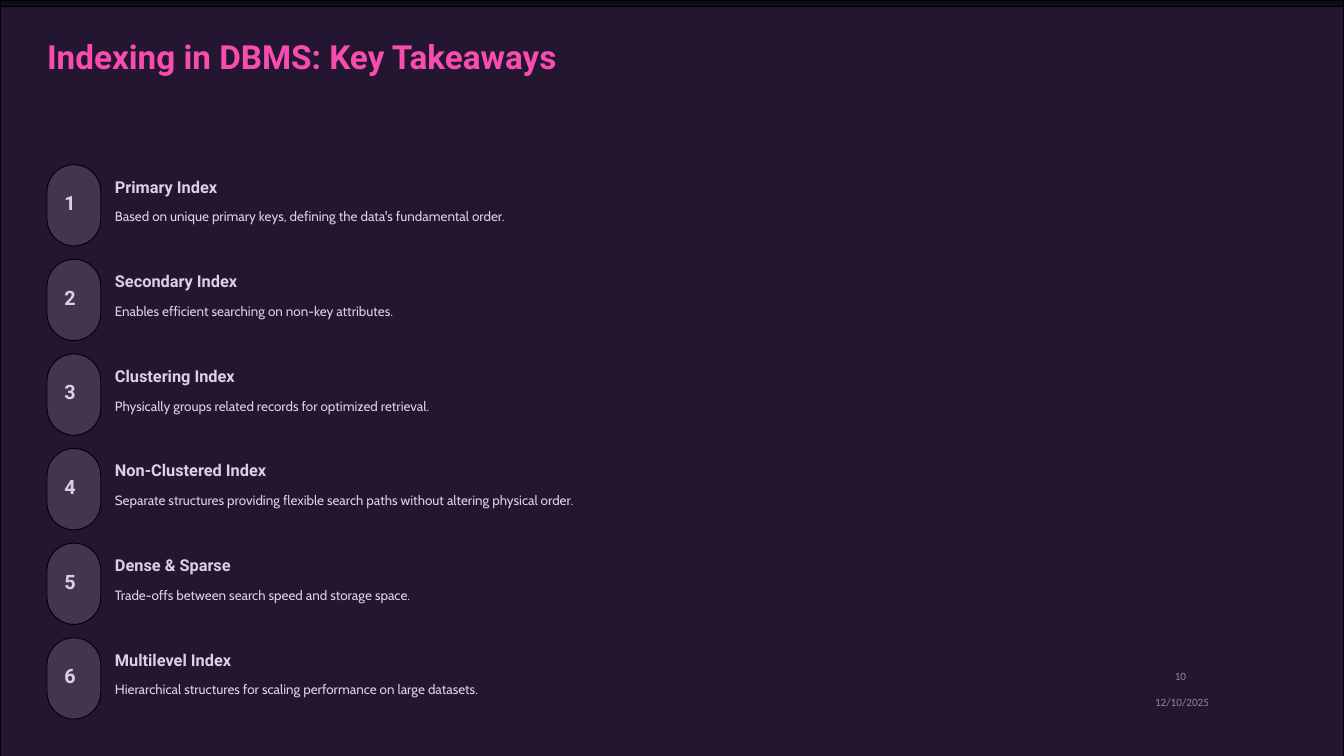
from dataclasses import dataclass

from pptx import Presentation
from pptx.dml.color import RGBColor
from pptx.enum.shapes import MSO_SHAPE
from pptx.enum.text import MSO_ANCHOR, MSO_AUTO_SIZE, PP_ALIGN
from pptx.util import Inches, Pt

RECTANGLE = MSO_SHAPE.RECTANGLE
PILL = MSO_SHAPE.ROUNDED_RECTANGLE
TOP, MIDDLE = MSO_ANCHOR.TOP, MSO_ANCHOR.MIDDLE
LEFT, RIGHT = PP_ALIGN.LEFT, PP_ALIGN.RIGHT
FIT_SHAPE = MSO_AUTO_SIZE.SHAPE_TO_FIT_TEXT
TITLE_ONLY = 5


@dataclass(frozen=True)
class TextStyle:
    """Font and line spacing of one kind of text."""
    font: str
    size: float
    color: str
    bold: bool = False
    spacing: float | None = None


@dataclass(frozen=True)
class Theme:
    """Colours and text styles of the slide."""
    backdrop: str = "110C17"
    panel: str = "241631"
    badge: str = "433550"
    outline: str = "000000"
    title: TextStyle = TextStyle("Roboto", 35.6, "F94CAF", True, 45)
    number: TextStyle = TextStyle("Roboto", 21.2, "DAD1E6", True, 21.2)
    heading: TextStyle = TextStyle("Roboto", 17.5, "DAD1E6", True, 22.5)
    body: TextStyle = TextStyle("Cabin", 14.4, "DAD1E6", False, 23.1)
    footer: TextStyle = TextStyle("Calibri", 12, "8C8C8C")


THEME = Theme()
SLIDE_WIDTH, SLIDE_HEIGHT = 20, 11.25
FIRST_TOP, ROW_PITCH = 2.45, 1.408
TAKEAWAYS = [
    ("Primary Index", "Based on unique primary keys, defining the data's fundamental order."),
    ("Secondary Index", "Enables efficient searching on non-key attributes."),
    ("Clustering Index", "Physically groups related records for optimized retrieval."),
    ("Non-Clustered Index",
     "Separate structures providing flexible search paths without altering physical order."),
    ("Dense & Sparse", "Trade-offs between search speed and storage space."),
    ("Multilevel Index", "Hierarchical structures for scaling performance on large datasets."),
]


def add_filled_shape(slide, kind, left, top, width, height, color):
    """Add a filled preset shape with the thin dark outline."""
    shape = slide.shapes.add_shape(
        kind, Inches(left), Inches(top), Inches(width), Inches(height))
    shape.shadow.inherit = False
    shape.fill.solid()
    shape.fill.fore_color.rgb = RGBColor.from_string(color)
    shape.line.color.rgb = RGBColor.from_string(THEME.outline)
    shape.line.width = Pt(1)
    return shape


def write_text(shape, text, style, alignment=LEFT):
    """Write one styled paragraph into a shape."""
    frame = shape.text_frame
    frame.word_wrap = True
    paragraph = frame.paragraphs[0]
    paragraph.text = text
    paragraph.alignment = alignment
    if style.spacing:
        paragraph.line_spacing = Pt(style.spacing)
    font = paragraph.font
    font.name, font.size, font.bold = style.font, Pt(style.size), style.bold
    font.color.rgb = RGBColor.from_string(style.color)


def fit_tightly(shape):
    """Remove the insets and let the shape grow with its text."""
    frame = shape.text_frame
    frame.margin_left = frame.margin_top = frame.margin_right = frame.margin_bottom = 0
    frame.vertical_anchor = TOP
    frame.auto_size = FIT_SHAPE


def add_label(slide, left, top, width, height, text, style):
    """Add a text box without insets."""
    box = slide.shapes.add_textbox(Inches(left), Inches(top), Inches(width), Inches(height))
    write_text(box, text, style)
    fit_tightly(box)


def add_footer(slide, left, top, text, alignment):
    """Add a vertically centred footer field."""
    box = slide.shapes.add_textbox(Inches(left), Inches(top), Inches(2.33), Inches(0.4))
    write_text(box, text, THEME.footer, alignment)
    box.text_frame.vertical_anchor = MIDDLE


def place_title(slide, text, panel):
    """Format the title placeholder and raise it above the panel."""
    title = slide.shapes.title
    title.left, title.top = Inches(0.7), Inches(0.51)
    title.width, title.height = Inches(7.79), Inches(0.67)
    write_text(title, text, THEME.title)
    fit_tightly(title)
    panel.element.addnext(title.element)


def add_takeaway(slide, number, top, heading, description):
    """Add a numbered badge with its heading and description."""
    badge = add_filled_shape(slide, PILL, 0.7, top, 0.8, 1.21, THEME.badge)
    badge.adjustments[0] = 0.5
    add_label(slide, 0.96, top + 0.45, 0.3, 0.35, str(number), THEME.number)
    add_label(slide, 1.71, top + 0.16, 2.51, 0.36, heading, THEME.heading)
    add_label(slide, 1.71, top + 0.57, 17.59, 0.39, description, THEME.body)


def main():
    """Build the key takeaways slide."""
    presentation = Presentation()
    presentation.slide_width = Inches(SLIDE_WIDTH)
    presentation.slide_height = Inches(SLIDE_HEIGHT)
    slide = presentation.slides.add_slide(presentation.slide_layouts[TITLE_ONLY])
    add_filled_shape(slide, RECTANGLE, 0, 0, SLIDE_WIDTH, SLIDE_HEIGHT, THEME.backdrop)
    panel = add_filled_shape(
        slide, RECTANGLE, 0, 0.09, SLIDE_WIDTH, SLIDE_HEIGHT, THEME.panel)
    place_title(slide, "Indexing in DBMS: Key Takeaways", panel)
    for index, (heading, description) in enumerate(TAKEAWAYS):
        top = FIRST_TOP + index * ROW_PITCH
        add_takeaway(slide, index + 1, top, heading, description)
    add_footer(slide, 17.09, 10.25, "12/10/2025", LEFT)
    add_footer(slide, 15.42, 9.86, "10", RIGHT)
    presentation.save("out.pptx")


if __name__ == "__main__":
    main()
